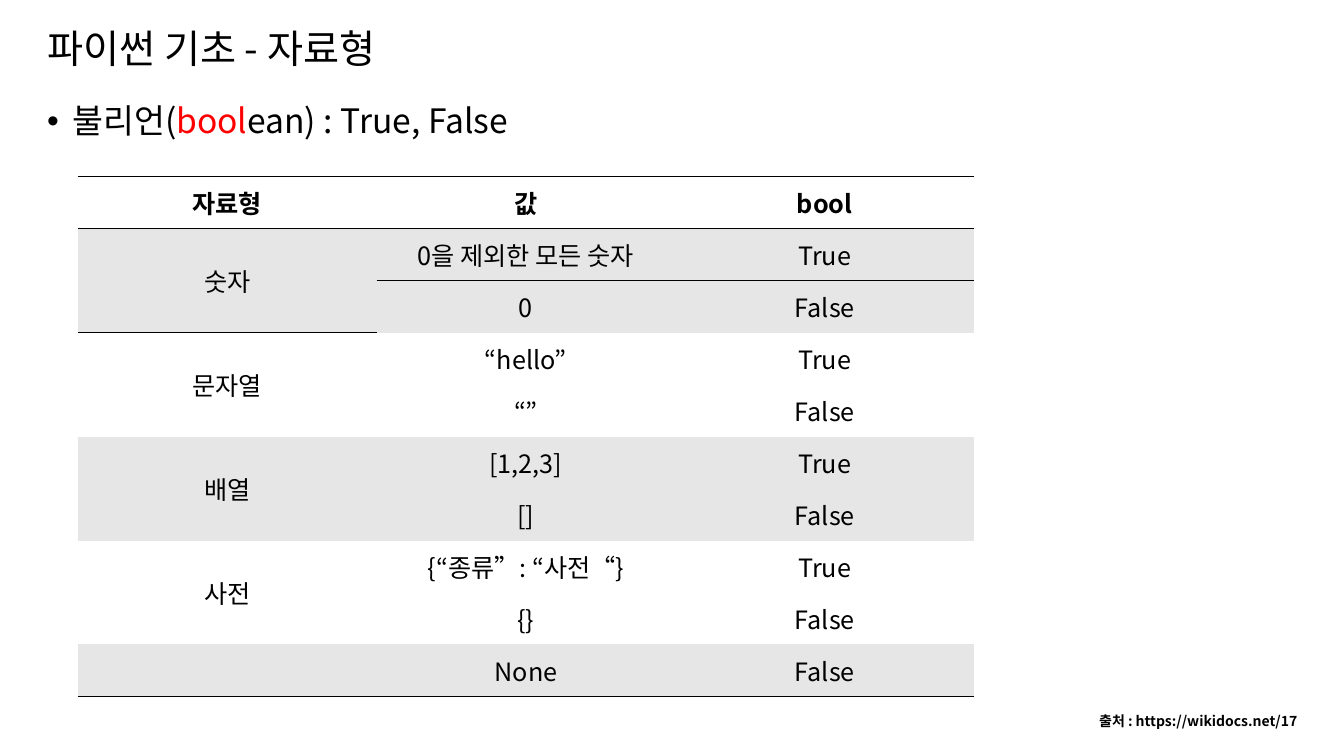
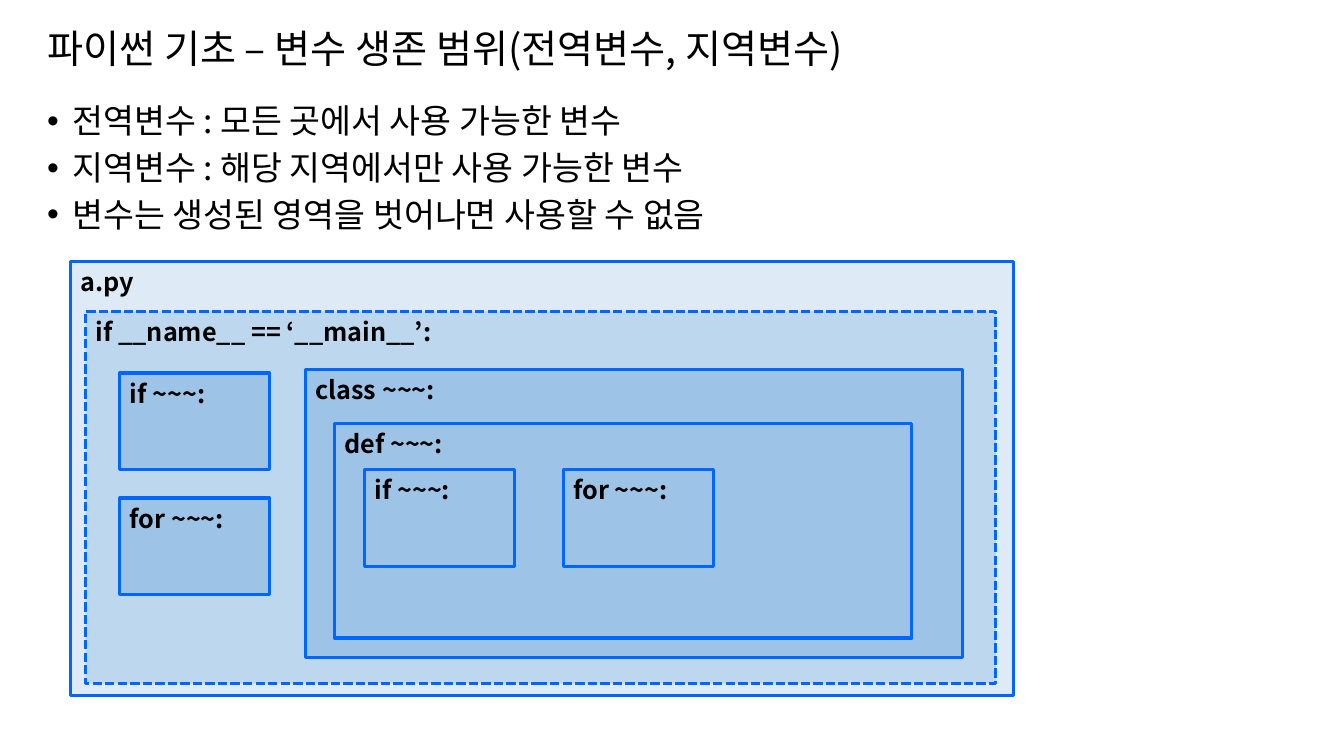
from dataclasses import dataclass

from lxml import etree
from pptx import Presentation
from pptx.dml.color import RGBColor
from pptx.enum.dml import MSO_LINE
from pptx.enum.shapes import MSO_SHAPE
from pptx.enum.text import MSO_ANCHOR, MSO_AUTO_SIZE, PP_ALIGN
from pptx.oxml.ns import qn
from pptx.util import Cm, Pt

LEFT, CENTER, RIGHT = PP_ALIGN.LEFT, PP_ALIGN.CENTER, PP_ALIGN.RIGHT
TOP, MIDDLE = MSO_ANCHOR.TOP, MSO_ANCHOR.MIDDLE
NO_AUTOFIT = MSO_AUTO_SIZE.NONE
RECTANGLE = MSO_SHAPE.RECTANGLE
DASHED = MSO_LINE.SQUARE_DOT
TITLE_ONLY = 5
NO_TABLE_STYLE = "{2D5ABB26-0587-4C30-8999-92F81FD0307C}"


@dataclass(frozen=True)
class Theme:
    font: str = "Noto Sans CJK KR"
    text: RGBColor = RGBColor(0x00, 0x00, 0x00)
    accent: RGBColor = RGBColor(0xFF, 0x00, 0x00)
    band: RGBColor = RGBColor(0xE7, 0xE6, 0xE6)
    outline: RGBColor = RGBColor(0x00, 0x66, 0xFF)
    file_fill: RGBColor = RGBColor(0xDE, 0xEB, 0xF7)
    main_fill: RGBColor = RGBColor(0xBD, 0xD7, 0xEE)
    block_fill: RGBColor = RGBColor(0x9D, 0xC3, 0xE6)
    title_size: Pt = Pt(28)
    body_size: Pt = Pt(24)
    label_size: Pt = Pt(18)
    source_size: Pt = Pt(10)
    outline_width: Pt = Pt(2.25)
    border_width: Pt = Pt(1)
    margin: Cm = Cm(0.94)
    content_width: Cm = Cm(32)


theme = Theme()
TITLE_FORMAT = {"alignment": LEFT, "line_spacing": 0.9}
BULLET_FORMAT = {"alignment": LEFT, "line_spacing": 0.9}

presentation = Presentation()
presentation.slide_width = Cm(33.87)
presentation.slide_height = Cm(19.05)


def write(paragraph, runs, size, paragraph_format, bold=False):
    """Fill a paragraph with (text, colour) runs, or with one plain string."""
    for name, value in paragraph_format.items():
        setattr(paragraph, name, value)
    if isinstance(runs, str):
        runs = [(runs, theme.text)]
    for text, color in runs:
        run = paragraph.add_run()
        run.text = text
        for name, value in {"name": theme.font, "size": size, "bold": bold}.items():
            setattr(run.font, name, value)
        run.font.color.rgb = color
        east_asian = etree.SubElement(run.font._element, qn("a:ea"))
        east_asian.set("typeface", theme.font)


def add_bullet_slide(title_text, bullets):
    slide = presentation.slides.add_slide(presentation.slide_layouts[TITLE_ONLY])
    title = slide.shapes.title
    title.left, title.top = theme.margin, Cm(0.53)
    title.width, title.height = theme.content_width, Cm(1.5)
    title.text_frame.auto_size = NO_AUTOFIT
    title.text_frame.vertical_anchor = MIDDLE
    write(title.text_frame.paragraphs[0], title_text, theme.title_size, TITLE_FORMAT)

    body = slide.shapes.add_textbox(theme.margin, Cm(2.51), theme.content_width, Cm(16))
    body.text_frame.word_wrap = True
    for index, runs in enumerate(bullets):
        paragraph = body.text_frame.paragraphs[0]
        if index:
            paragraph = body.text_frame.add_paragraph()
            paragraph.space_before = Pt(7.5)
        properties = paragraph._p.get_or_add_pPr()
        properties.set("marL", str(Pt(18)))
        properties.set("indent", str(-Pt(18)))
        etree.SubElement(properties, qn("a:buFont")).set("typeface", "Arial")
        etree.SubElement(properties, qn("a:buChar")).set("char", "•")
        write(paragraph, runs, theme.body_size, BULLET_FORMAT)
    return slide


# Boolean values
slide = add_bullet_slide(
    "파이썬 기초 - 자료형",
    [[("불리언(", theme.text), ("bool", theme.accent), ("ean) : True, False", theme.text)]],
)

source = slide.shapes.add_textbox(theme.margin, Cm(17.83), theme.content_width, Cm(0.68))
source.text_frame.word_wrap = True
write(source.text_frame.paragraphs[0], "출처 : https://wikidocs.net/17",
      theme.source_size, {"alignment": RIGHT}, bold=True)

rows = [
    ("자료형", "값", "bool"),
    ("숫자", "0을 제외한 모든 숫자", "True"),
    ("", "0", "False"),
    ("문자열", "“hello”", "True"),
    ("", "“”", "False"),
    ("배열", "[1,2,3]", "True"),
    ("", "[]", "False"),
    ("사전", "{“종류”: “사전“}", "True"),
    ("", "{}", "False"),
    ("", "None", "False"),
]
last_row = len(rows) - 1
borders = {0: ("a:lnT", "a:lnB"), 1: ("a:lnT",), last_row: ("a:lnB",)}

frame = slide.shapes.add_table(len(rows), 3, Cm(1.96), Cm(4.45), Cm(22.59), Cm(13.1))
table = frame.table
table.first_row = table.horz_banding = False
next(frame._element.iter(qn("a:tableStyleId"))).text = NO_TABLE_STYLE
for column in table.columns:
    column.width = Cm(7.53)
for row_index, texts in enumerate(rows):
    table.rows[row_index].height = Cm(1.31)
    for column_index, text in enumerate(texts):
        cell = table.cell(row_index, column_index)
        cell.vertical_anchor = MIDDLE
        if text:
            write(cell.text_frame.paragraphs[0], text, theme.label_size,
                  {"alignment": CENTER}, bold=row_index == 0)
        # Each data type takes two rows, and every other type is shaded
        if row_index % 4 in (1, 2):
            cell.fill.solid()
            cell.fill.fore_color.rgb = theme.band
        else:
            cell.fill.background()
        properties = cell._tc.get_or_add_tcPr()
        for position, side in enumerate(borders.get(row_index, ())):
            border = etree.Element(qn(side), w=str(theme.border_width))
            fill = etree.SubElement(border, qn("a:solidFill"))
            etree.SubElement(fill, qn("a:srgbClr")).set("val", str(theme.text))
            properties.insert(position, border)
for row_index in range(1, last_row, 2):
    table.cell(row_index, 0).merge(table.cell(row_index + 1, 0))

# Variable scope
slide = add_bullet_slide(
    "파이썬 기초 – 변수 생존 범위(전역변수, 지역변수)",
    [
        "전역변수 : 모든 곳에서 사용 가능한 변수",
        "지역변수 : 해당 지역에서만 사용 가능한 변수",
        "변수는 생성된 영역을 벗어나면 사용할 수 없음",
    ],
)

MAIN_LABEL = "if __name__ == ‘__main__’:"
small = (3.78, 2.44)
scopes = [
    ("a.py", 1.78, 6.58, (23.77, 10.95), theme.file_fill),
    (MAIN_LABEL, 2.16, 7.85, (22.94, 9.37), theme.main_fill),
    ("if ~~~:", 3.02, 9.4, small, theme.block_fill),
    ("for ~~~:", 3.02, 12.55, small, theme.block_fill),
    ("class ~~~:", 7.7, 9.32, (16.56, 7.26), theme.block_fill),
    ("def ~~~:", 8.43, 10.67, (14.55, 5.41), theme.block_fill),
    ("if ~~~:", 9.19, 11.84, small, theme.block_fill),
    ("for ~~~:", 14.2, 11.84, small, theme.block_fill),
]
for label, left, top, (width, height), color in scopes:
    shape = slide.shapes.add_shape(RECTANGLE, Cm(left), Cm(top), Cm(width), Cm(height))
    shape.shadow.inherit = False
    shape.fill.solid()
    shape.fill.fore_color.rgb = color
    shape.line.color.rgb = theme.outline
    shape.line.width = theme.outline_width
    if label == MAIN_LABEL:
        shape.line.dash_style = DASHED
    shape.text_frame.vertical_anchor = TOP
    write(shape.text_frame.paragraphs[0], label, theme.label_size,
          {"alignment": LEFT}, bold=True)

presentation.save("out.pptx")
